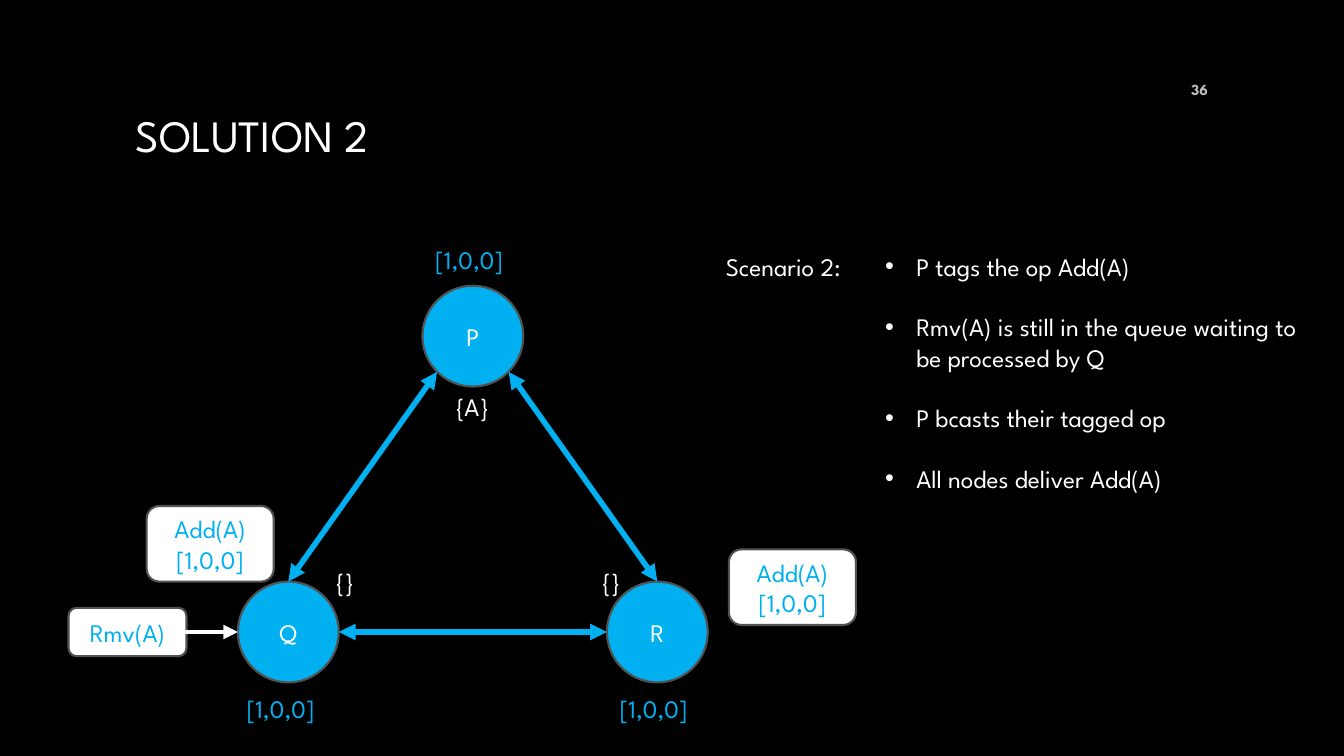
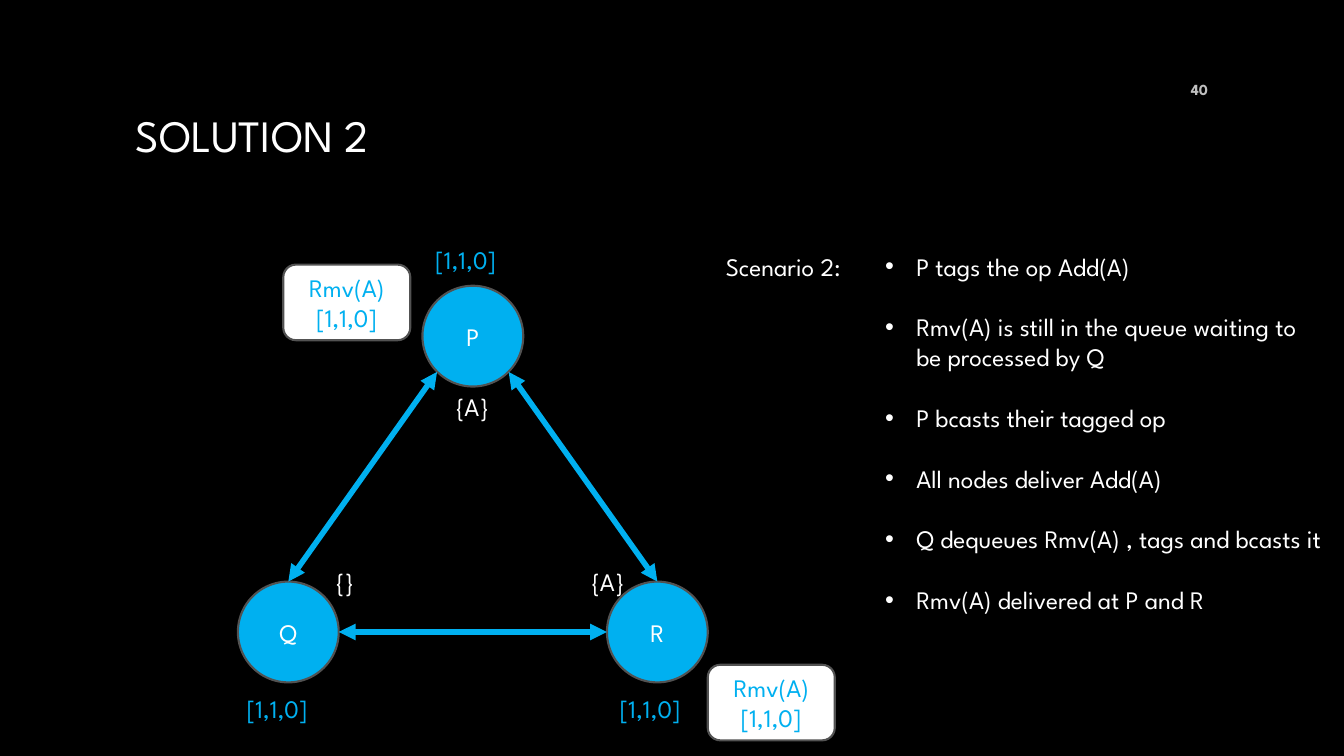
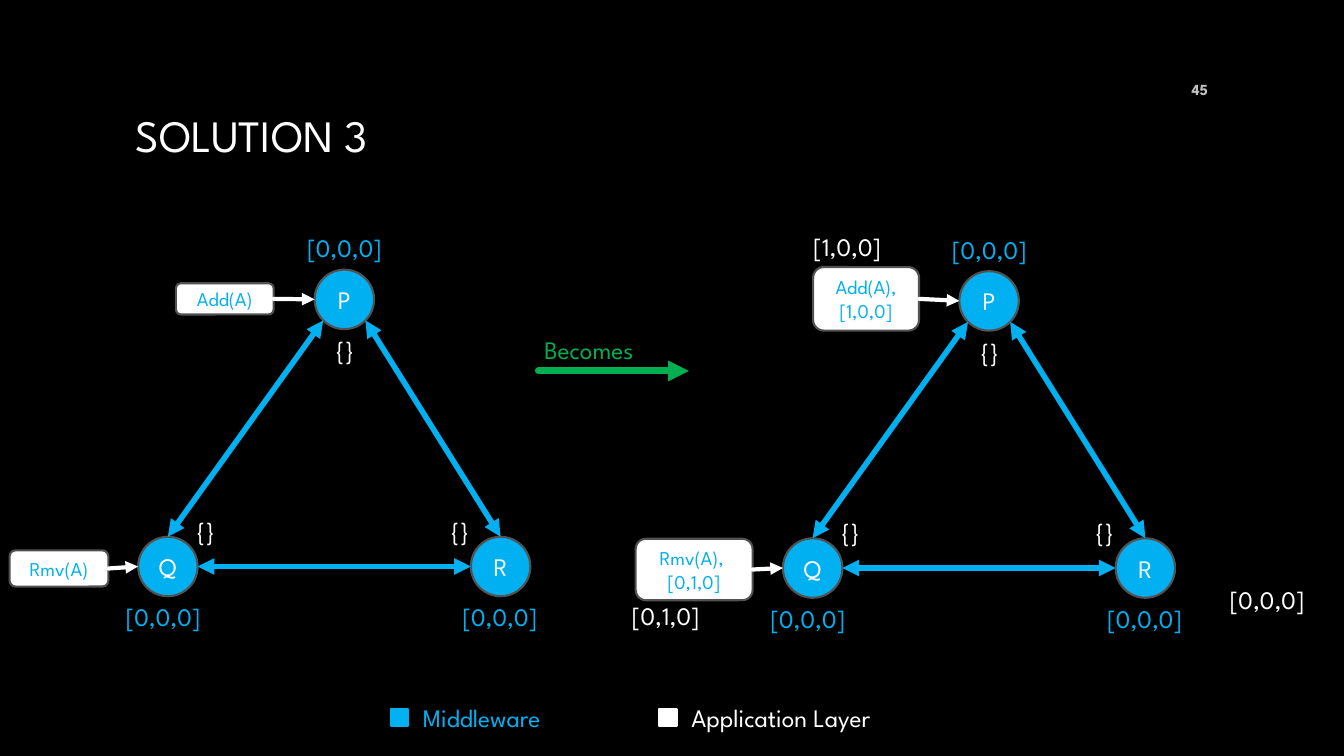
from lxml import etree
from pptx import Presentation
from pptx.dml.color import RGBColor
from pptx.enum.shapes import MSO_CONNECTOR, MSO_SHAPE
from pptx.enum.text import MSO_ANCHOR, MSO_AUTO_SIZE, PP_ALIGN
from pptx.oxml.ns import qn
from pptx.util import Inches, Pt

BLACK = RGBColor(0x00, 0x00, 0x00)
WHITE = RGBColor(0xFF, 0xFF, 0xFF)
BLUE = RGBColor(0x00, 0xB0, 0xF0)
GREEN = RGBColor(0x00, 0xB0, 0x50)
GREY = RGBColor(0x52, 0x52, 0x52)
PALE = RGBColor(0xBF, 0xBF, 0xBF)
FONT = "League Spartan"
OVAL, ROUND, RECT = MSO_SHAPE.OVAL, MSO_SHAPE.ROUNDED_RECTANGLE, MSO_SHAPE.RECTANGLE
LEFT, MID, RIGHT = PP_ALIGN.LEFT, PP_ALIGN.CENTER, PP_ALIGN.RIGHT
TOP, MIDDLE = MSO_ANCHOR.TOP, MSO_ANCHOR.MIDDLE
STRAIGHT, GROW = MSO_CONNECTOR.STRAIGHT, MSO_AUTO_SIZE.SHAPE_TO_FIT_TEXT

# Grid: ten cells to the inch, so a slide has 75 rows
CELL = Inches(0.1)
ROW = 4  # height of a one-line label
CHAR = 2.1  # width of one character in a set label

prs = Presentation()
prs.slide_width, prs.slide_height = Inches(13.33), Inches(7.5)
back = prs.slide_master.background.fill
back.solid()
back.fore_color.rgb = BLACK


def put(slide, box, lines, size=18, color=WHITE, kind=None, fill=None, edge=GREY,
        align=LEFT, anchor=TOP, wrap=False, bold=False, bullet=False):
    """Add a text box, or a filled shape if a kind is given."""
    area = [round(n * CELL) for n in box]
    if kind is None:
        shape = slide.shapes.add_textbox(*area)
    else:
        shape = slide.shapes.add_shape(kind, *area)
        shape.shadow.inherit = False
        shape.fill.solid()
        shape.fill.fore_color.rgb = fill
        shape.line.color.rgb = edge
        shape.line.width = Pt(1.5)
        align, anchor, wrap = MID, MIDDLE, True
    frame = shape.text_frame
    frame.word_wrap = wrap
    frame.vertical_anchor = anchor
    if not wrap:
        frame.auto_size = GROW
    for i, line in enumerate(lines):
        para = frame.paragraphs[0] if i == 0 else frame.add_paragraph()
        para.text = line
        para.alignment = align
        if bullet:
            props = para._p.get_or_add_pPr()
            props.set("marL", str(Inches(0.31)))
            props.set("indent", str(-Inches(0.31)))
            etree.SubElement(props, qn("a:buFont")).set("typeface", "Arial")
            etree.SubElement(props, qn("a:buChar")).set("char", "•")
            if i:
                para.space_before = Pt(21.7)
        font = para.font
        font.name, font.size, font.bold = FONT, Pt(size), bold
        font.color.rgb = color


def link(slide, start, end, color=BLUE, width=4, ends=("headEnd", "tailEnd")):
    """Add a straight arrow."""
    ways = [round(n * CELL) for n in (*start, *end)]
    wire = slide.shapes.add_connector(STRAIGHT, *ways)
    wire.line.color.rgb = color
    wire.line.width = Pt(width)
    edge = wire.line._get_or_add_ln()
    edge.set("cap", "rnd")
    for tip in ends:
        etree.SubElement(edge, qn("a:" + tip)).set("type", "triangle")
    etree.SubElement(wire._element.spPr, qn("a:effectLst"))


# Slides with title and page number
slides = []
for title, page in (("SOLUTION 2", "36"), ("SOLUTION 2", "40"), ("SOLUTION 3", "45")):
    slide = prs.slides.add_slide(prs.slide_layouts[6])
    put(slide, (12.5, 6.7, 108.3, 13.3), [title], 32, anchor=MIDDLE, wrap=True)
    put(slide, (114.8, 6.9, 6, ROW), [page], 11, PALE, align=RIGHT,
        anchor=MIDDLE, wrap=True, bold=True)
    slides.append(slide)
first, second, third = slides

# Per node: corner of the circle, corner of the clock, top centre of the set
WIDE = {"P": ((41.9, 28.35), (42.2, 23.7), (47.35, 38.3)),
        "Q": ((23.6, 57.7), (23.5, 68.3), (34.4, 55.7)),
        "R": ((60.2, 57.7), (60.5, 68.3), (60.8, 55.7))}
SMALL = {"P": ((31.2, 26.75), (29.5, 22.6), (34.4, 32.7)),
         "Q": ((13.7, 53.25), (11.5, 59.2), (20.6, 50.6)),
         "R": ((46.7, 53.25), (44.9, 59.2), (45.8, 50.6))}

# Cards: box, lines, node that the card points to
ADD, RMV = ["Add(A)", "[1,0,0]"], ["Rmv(A)", "[1,1,0]"]
cards1 = [((14.55, 50.2, 12.6, 7.5), ADD, None),
          ((72.3, 54.5, 12.6, 7.5), ADD, None),
          ((6.8, 60.3, 11.7, 4.8), ["Rmv(A)"], "Q")]
cards2 = [((28.1, 26.25, 12.6, 7.5), RMV, None),
          ((70.2, 65.95, 12.6, 7.5), RMV, None)]
before = [((17.45, 28.1, 9.7, 3.1), ["Add(A)"], "P"),
          ((0.95, 54.6, 9.8, 3.6), ["Rmv(A)"], "Q")]
after = [((80.65, 26.5, 10.5, 6.3), ["Add(A), [1,0,0]"], "P"),
         ((63.05, 53.45, 11.6, 6.1), ["Rmv(A), ", "[0,1,0]"], "Q")]

# Triangles: slide, plan, shift, diameter, card text, pointer, clock, sets, cards
for slide, plan, (dx, dy), dia, size, width, clock, sets, cards in (
        (first, WIDE, (0, 0), 10, 18, 3.5, "[1,0,0]", ("{A}", "{}", "{}"), cards1),
        (second, WIDE, (0, 0), 10, 18, 3.5, "[1,1,0]", ("{A}", "{}", "{A}"), cards2),
        (third, SMALL, (0, 0), 5.9, 14, 3, "[0,0,0]", ("{}",) * 3, before),
        (third, SMALL, (63.95, 0.15), 5.9, 14, 3, "[0,0,0]", ("{}",) * 3, after)):
    rad = dia / 2
    hub = {}
    for (name, (node, time, state)), items in zip(plan.items(), sets):
        x, y = node[0] + dx, node[1] + dy
        hub[name] = (x + rad, y + rad)
        put(slide, (x, y, dia, dia), [name], kind=OVAL, fill=BLUE)
        put(slide, (time[0] + dx, time[1] + dy, 9.4, ROW), [clock], color=BLUE)
        span = CHAR * len(items)
        put(slide, (state[0] + dx - span / 2, state[1] + dy, span, ROW), [items])

    # Arrows leave P on the diagonal and meet Q and R at the top
    px, py = hub["P"]
    slant = rad * 0.71
    for name, side in (("R", 1), ("Q", -1)):
        x, y = hub[name]
        link(slide, (px + side * slant, py + slant), (x, y - rad))
    (qx, qy), (rx, ry) = hub["Q"], hub["R"]
    link(slide, (qx + rad, qy), (rx - rad, ry))

    for box, lines, goal in cards:
        put(slide, box, lines, size, BLUE, ROUND, WHITE)
        if goal:
            x, y = hub[goal]
            link(slide, (box[0] + box[2], box[1] + box[3] / 2), (x - rad, y),
                 WHITE, width, ["tailEnd"])

# Scenario steps
steps = ["P tags the op Add(A)",
         "Rmv(A) is still in the queue waiting to be processed by Q",
         "P bcasts their tagged op",
         "All nodes deliver Add(A)",
         "Q dequeues Rmv(A) , tags and bcasts it",
         "Rmv(A) delivered at P and R"]
for slide, count, high in ((first, 4, 25.2), (second, 6, 43.4)):
    put(slide, (71, 24.4, 15.5, ROW), ["Scenario 2:"])
    put(slide, (86.8, 24.4, 45.3, high), steps[:count], wrap=True, bullet=True)

# Change from left to right triangle
link(third, (53.4, 36.8), (68.35, 36.8), GREEN, 5, ["tailEnd"])
put(third, (53, 32.7, 13.4, ROW), ["Becomes"], color=GREEN)

# Clocks of the application layer
for x, y, clock in ((61.7, 59.1, "[0,1,0]"), (79.7, 22.45, "[1,0,0]"),
                    (121, 57.5, "[0,0,0]")):
    put(third, (x, y, 9.4, ROW), [clock])

# Legend
for x, span, name, color in ((38.75, 16.7, "Middleware", BLUE),
                             (65.4, 23.6, "Application Layer", WHITE)):
    put(third, (x, 70.3, 1.7, 1.7), [], kind=RECT, fill=color, edge=color)
    put(third, (x + 2.2, 69.15, span, ROW), [name], color=color)

prs.save("out.pptx")
